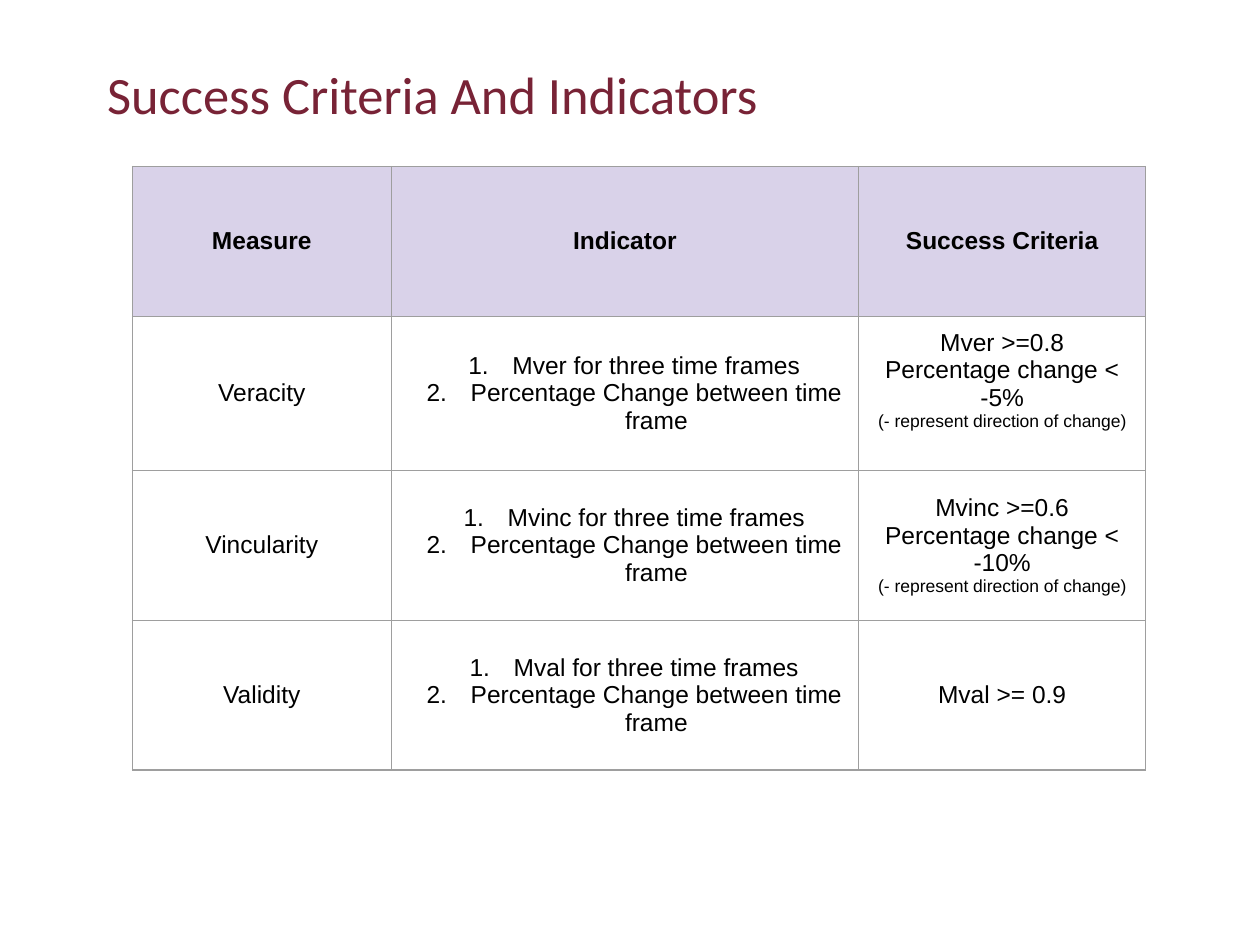
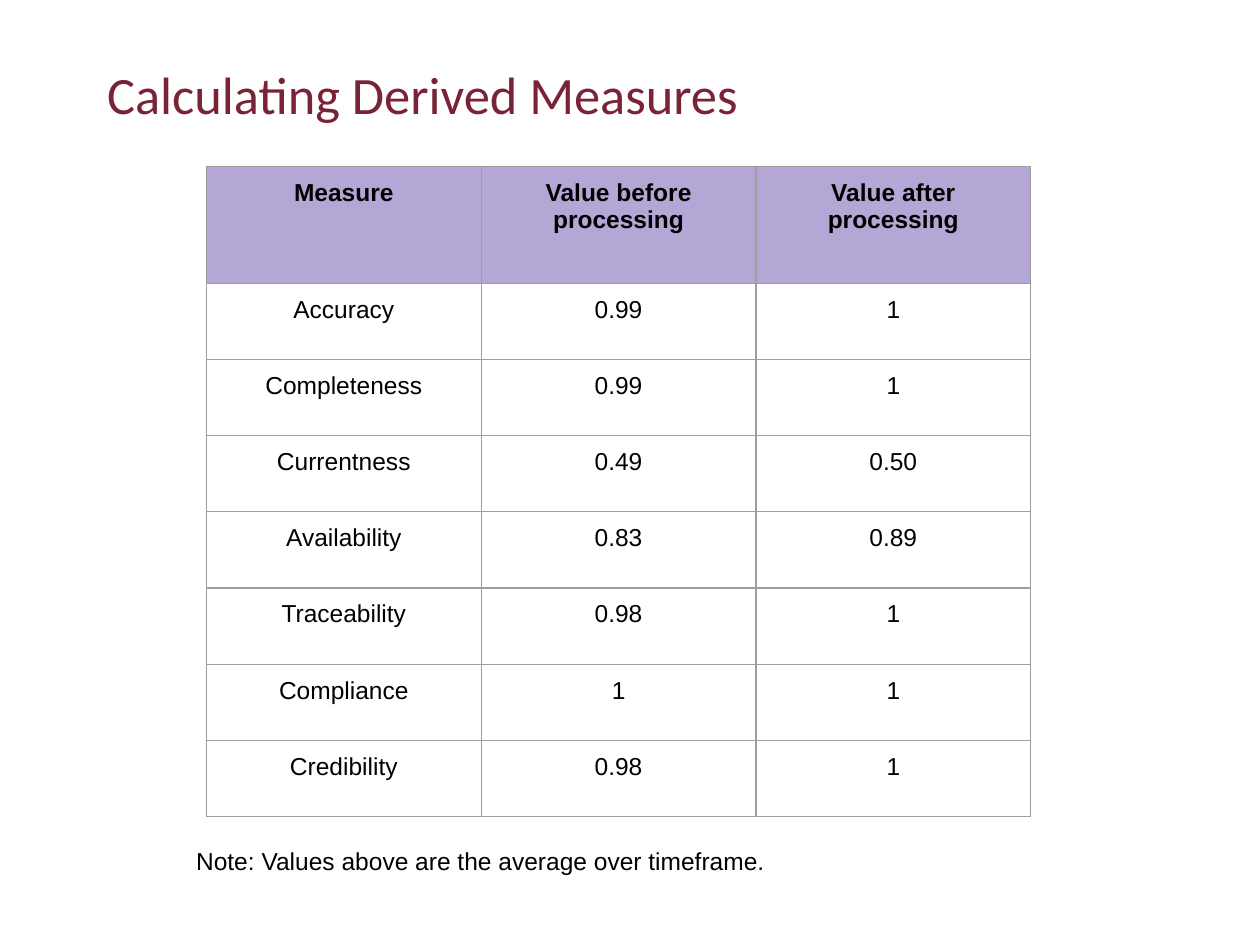
from lxml import etree
from pptx import Presentation
from pptx.dml.color import RGBColor
from pptx.enum.text import MSO_ANCHOR, MSO_AUTO_SIZE, PP_ALIGN
from pptx.oxml.ns import qn
from pptx.util import Pt

TOP, MIDDLE = MSO_ANCHOR.TOP, MSO_ANCHOR.MIDDLE
LEFT, CENTER = PP_ALIGN.LEFT, PP_ALIGN.CENTER
NO_AUTOFIT = MSO_AUTO_SIZE.NONE

MAROON = RGBColor(0x78, 0x23, 0x36)
BLACK = RGBColor(0x00, 0x00, 0x00)
WHITE = RGBColor(0xFF, 0xFF, 0xFF)
GREY = RGBColor(0x9E, 0x9E, 0x9E)
PALE_LILAC = RGBColor(0xD9, 0xD2, 0xE9)
LILAC = RGBColor(0xB4, 0xA7, 0xD6)

TITLE_FONT, BODY_FONT = "Calibri", "Arial"
BODY_SIZE, REMARK_SIZE = 14, 10
INSET = 7.2
TABLE_TOP = 95.1


def write(paragraph, text, size=BODY_SIZE, font=BODY_FONT, color=BLACK,
          bold=False, align=LEFT):
    paragraph.alignment = align
    run = paragraph.add_run()
    run.text = text
    run.font.size = Pt(size)
    run.font.name = font
    run.font.color.rgb = color
    run.font.bold = bold


def set_insets(target, top=INSET, bottom=INSET):
    target.margin_left = target.margin_right = Pt(INSET)
    target.margin_top, target.margin_bottom = Pt(top), Pt(bottom)


def number(paragraph):
    """Turn the paragraph into an item of a 1., 2., 3. list."""
    properties = paragraph._p.get_or_add_pPr()
    properties.set("marL", str(Pt(36)))
    properties.set("indent", str(Pt(-25.2)))
    etree.SubElement(properties, qn("a:buAutoNum"), type="arabicPeriod")


def outline(cell):
    """Draw a thin grey border on all four sides of the cell."""
    properties = cell._tc.get_or_add_tcPr()
    for side in ("lnL", "lnR", "lnT", "lnB"):
        line = etree.SubElement(properties, qn(f"a:{side}"), w=str(Pt(0.75)))
        fill = etree.SubElement(line, qn("a:solidFill"))
        etree.SubElement(fill, qn("a:srgbClr"), val=str(GREY))


class Deck:
    def __init__(self):
        self.presentation = Presentation()
        self.presentation.slide_width = Pt(720)
        self.presentation.slide_height = Pt(540)
        self.slide = None

    def new_slide(self, heading, title_width=612):
        title_only = self.presentation.slide_layouts[5]
        self.slide = self.presentation.slides.add_slide(title_only)
        title = self.slide.shapes.title
        title.left, title.top = Pt(54), Pt(30)
        title.width, title.height = Pt(title_width), Pt(55.5)
        frame = title.text_frame
        frame.auto_size = NO_AUTOFIT
        frame.word_wrap = True
        frame.vertical_anchor = TOP
        set_insets(frame, top=5.2, bottom=3.6)
        write(frame.paragraphs[0], heading, size=30, font=TITLE_FONT, color=MAROON)

    def table(self, left, widths, heights, rows, header_fill, anchor):
        """Add a table; a cell is one text or a list of paragraphs."""
        table = self.slide.shapes.add_table(
            len(rows), len(widths), Pt(left), Pt(TABLE_TOP),
            Pt(sum(widths)), Pt(sum(heights))).table
        table.first_row = table.horz_banding = False
        for column, width in zip(table.columns, widths):
            column.width = Pt(width)
        for row, height in zip(table.rows, heights):
            row.height = Pt(height)
        for r, row in enumerate(rows):
            for c, content in enumerate(row):
                self.fill_cell(table.cell(r, c), content, anchor, bold=r == 0,
                               fill=header_fill if r == 0 else WHITE)
        return table

    def fill_cell(self, cell, content, anchor, bold, fill):
        outline(cell)
        cell.fill.solid()
        cell.fill.fore_color.rgb = fill
        cell.vertical_anchor = anchor
        set_insets(cell)
        lines = [content] if isinstance(content, str) else content
        for i, line in enumerate(lines):
            frame = cell.text_frame
            paragraph = frame.add_paragraph() if i else frame.paragraphs[0]
            size = REMARK_SIZE if line.startswith("(") else BODY_SIZE
            write(paragraph, line, size=size, bold=bold, align=CENTER)

    def note(self, text, left, top, width, height):
        frame = self.slide.shapes.add_textbox(
            Pt(left), Pt(top), Pt(width), Pt(height)).text_frame
        frame.word_wrap = True
        set_insets(frame)
        write(frame.paragraphs[0], text)


def add_success_criteria(deck):
    deck.new_slide("Success Criteria And Indicators", title_width=424)

    def indicators(metric):
        return [f"{metric} for three time frames",
                "Percentage Change between time frame"]

    def criteria(threshold, change):
        return [threshold, f"Percentage change < {change}",
                "(- represent direction of change)"]

    rows = [
        ("Measure", "Indicator", "Success Criteria"),
        ("Veracity", indicators("Mver"), criteria("Mver >=0.8", "-5%")),
        ("Vincularity", indicators("Mvinc"), criteria("Mvinc >=0.6", "-10%")),
        ("Validity", indicators("Mval"), "Mval >= 0.9"),
    ]
    table = deck.table(75.6, (148, 267, 164.2), (85.6, 88.2, 85.6, 85.6), rows,
                       header_fill=PALE_LILAC, anchor=MIDDLE)
    for r in range(1, len(rows)):
        for paragraph in table.cell(r, 1).text_frame.paragraphs:
            number(paragraph)
    veracity_criteria = table.cell(1, 2)
    veracity_criteria.vertical_anchor = TOP


def add_derived_measures(deck):
    deck.new_slide("Calculating Derived Measures")
    rows = [
        ("Measure", "Value before processing", "Value after processing"),
        ("Accuracy", "0.99", "1"),
        ("Completeness", "0.99", "1"),
        ("Currentness", "0.49", "0.50"),
        ("Availability", "0.83", "0.89"),
        ("Traceability", "0.98", "1"),
        ("Compliance", "1", "1"),
        ("Credibility", "0.98", "1"),
    ]
    heights = [66.7] + [43.55] * (len(rows) - 1)
    deck.table(118, [157] * 3, heights, rows, header_fill=LILAC, anchor=TOP)
    deck.note("Note: Values above are the average over timeframe.",
              105, 476, 579, 31.5)


def main():
    deck = Deck()
    add_success_criteria(deck)
    add_derived_measures(deck)
    deck.presentation.save("out.pptx")


if __name__ == "__main__":
    main()
